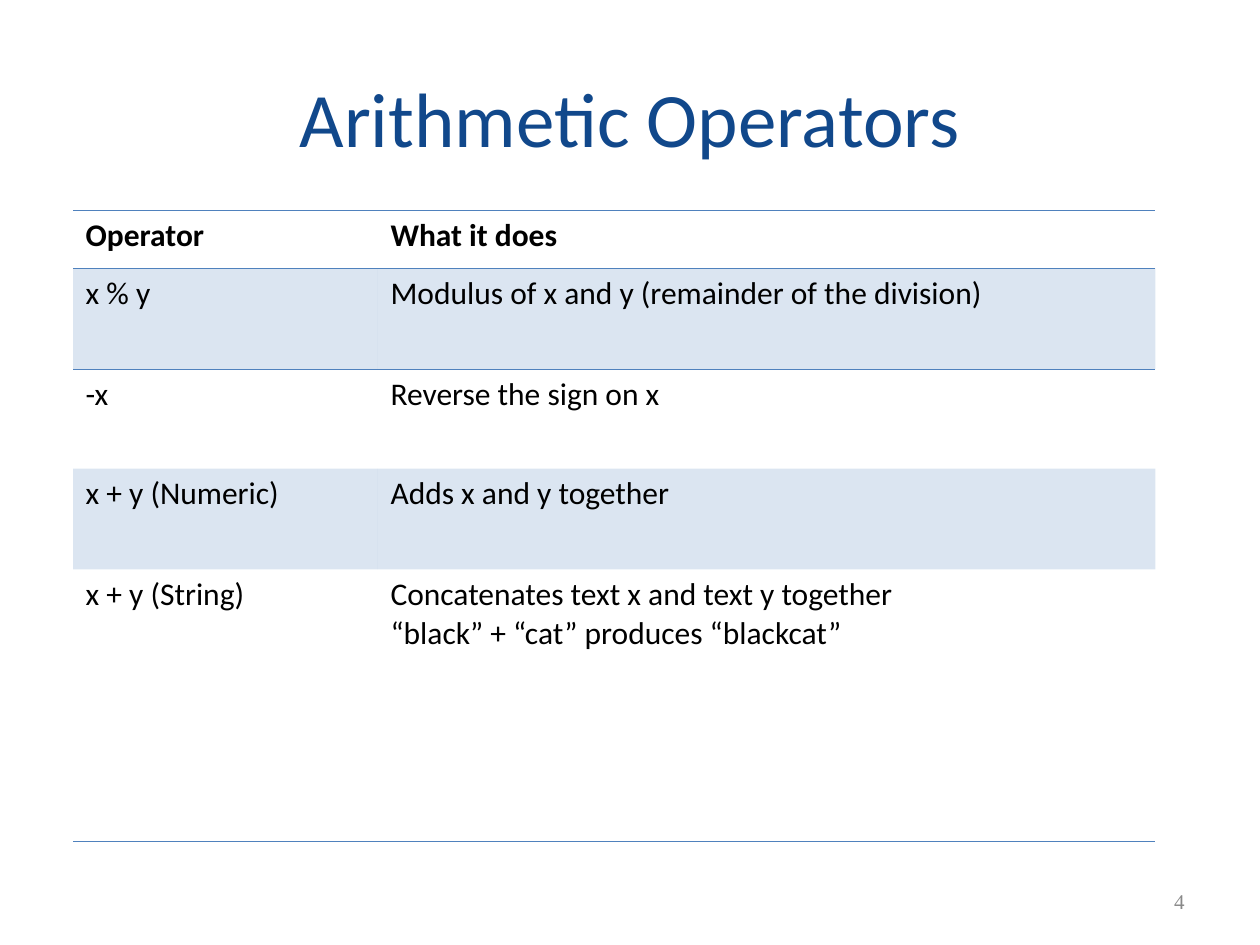
from dataclasses import dataclass

from lxml import etree
from pptx import Presentation
from pptx.dml.color import RGBColor
from pptx.enum import text
from pptx.oxml.ns import qn
from pptx.util import Inches, Pt


@dataclass(frozen=True)
class Theme:
    title_color: str = "11488B"
    accent: str = "4F81BD"
    ink: str = "000000"
    muted: str = "898989"
    body_font: str = "Calibri"
    number_font: str = "Times New Roman"
    title_size: int = 44
    body_size: int = 18
    number_size: int = 12
    rule_width: float = 0.45
    band_opacity: int = 20


THEME = Theme()
NO_STYLE = "{2D5ABB26-0587-4C30-8999-92F81FD0307C}"
COLUMNS = (2.42, 6.17)
ROW_HEIGHTS = (0.46, 0.8, 0.79, 0.8, 2.16)
ROWS = (
    ("Operator", "What it does"),
    ("x % y", "Modulus of x and y (remainder of the division)"),
    ("-x", "Reverse the sign on x"),
    ("x + y (Numeric)", "Adds x and y together"),
    ("x + y (String)",
     "Concatenates text x and text y together\n“black” + “cat” produces “blackcat”"),
)


def write(frame, content, color, alignment=text.PP_ALIGN.LEFT, **font_format):
    frame.text = content
    for paragraph in frame.paragraphs:
        paragraph.alignment = alignment
        for run in paragraph.runs:
            for name, value in font_format.items():
                setattr(run.font, name, value)
            run.font.color.rgb = RGBColor.from_string(color)


def place(shape, box):
    for name, value in zip(("left", "top", "width", "height"), box):
        setattr(shape, name, Inches(value))


def add_title(slide, box):
    title = slide.shapes.title
    place(title, box)
    title.text_frame.vertical_anchor = text.MSO_ANCHOR.MIDDLE
    write(title.text_frame, "Arithmetic Operators", THEME.title_color,
          text.PP_ALIGN.CENTER, name=THEME.body_font, size=Pt(THEME.title_size))


def add_page_number(slide, box):
    frame = slide.shapes.add_textbox(*map(Inches, box)).text_frame
    frame.word_wrap = True
    frame.vertical_anchor = text.MSO_ANCHOR.MIDDLE
    write(frame, "4", THEME.muted, text.PP_ALIGN.RIGHT,
          name=THEME.number_font, size=Pt(THEME.number_size))


def add_rules(cell, sides):
    """Draw accent borders on the given sides, which come before any fill."""
    properties = cell._tc.get_or_add_tcPr()
    for index, side in enumerate(sides):
        line = etree.Element(qn(f"a:ln{side}"), w=str(Pt(THEME.rule_width)))
        fill = etree.SubElement(line, qn("a:solidFill"))
        etree.SubElement(fill, qn("a:srgbClr"), val=THEME.accent)
        properties.insert(index, line)


def fill_band(cell):
    cell.fill.solid()
    cell.fill.fore_color.rgb = RGBColor.from_string(THEME.accent)
    color = cell._tc.tcPr.find(".//" + qn("a:srgbClr"))
    etree.SubElement(color, qn("a:alpha"), val=str(THEME.band_opacity * 1000))


def add_operator_table(slide, box):
    last = len(ROWS) - 1
    table = slide.shapes.add_table(len(ROWS), len(COLUMNS), *map(Inches, box)).table
    table._tbl.tblPr.find(qn("a:tableStyleId")).text = NO_STYLE
    table.horz_banding = False
    for column, width in zip(table.columns, COLUMNS):
        column.width = Inches(width)
    for index, (row, height, contents) in enumerate(zip(table.rows, ROW_HEIGHTS, ROWS)):
        row.height = Inches(height)
        sides = {0: "TB", 1: "T", last: "B"}.get(index, "")
        for cell, content in zip(row.cells, contents):
            write(cell.text_frame, content, THEME.ink, name=THEME.body_font,
                  size=Pt(THEME.body_size), bold=index == 0)
            if index % 2:
                fill_band(cell)
            else:
                cell.fill.background()
            add_rules(cell, sides)


def main():
    presentation = Presentation()
    presentation.slide_width = Inches(10)
    presentation.slide_height = Inches(7.5)
    slide = presentation.slides.add_slide(presentation.slide_layouts[5])
    add_title(slide, (0.5, 0.3, 9, 1.25))
    add_page_number(slide, (7.17, 6.95, 2.33, 0.4))
    add_operator_table(slide, (0.58, 1.67, sum(COLUMNS), sum(ROW_HEIGHTS)))
    presentation.save("out.pptx")


if __name__ == "__main__":
    main()
